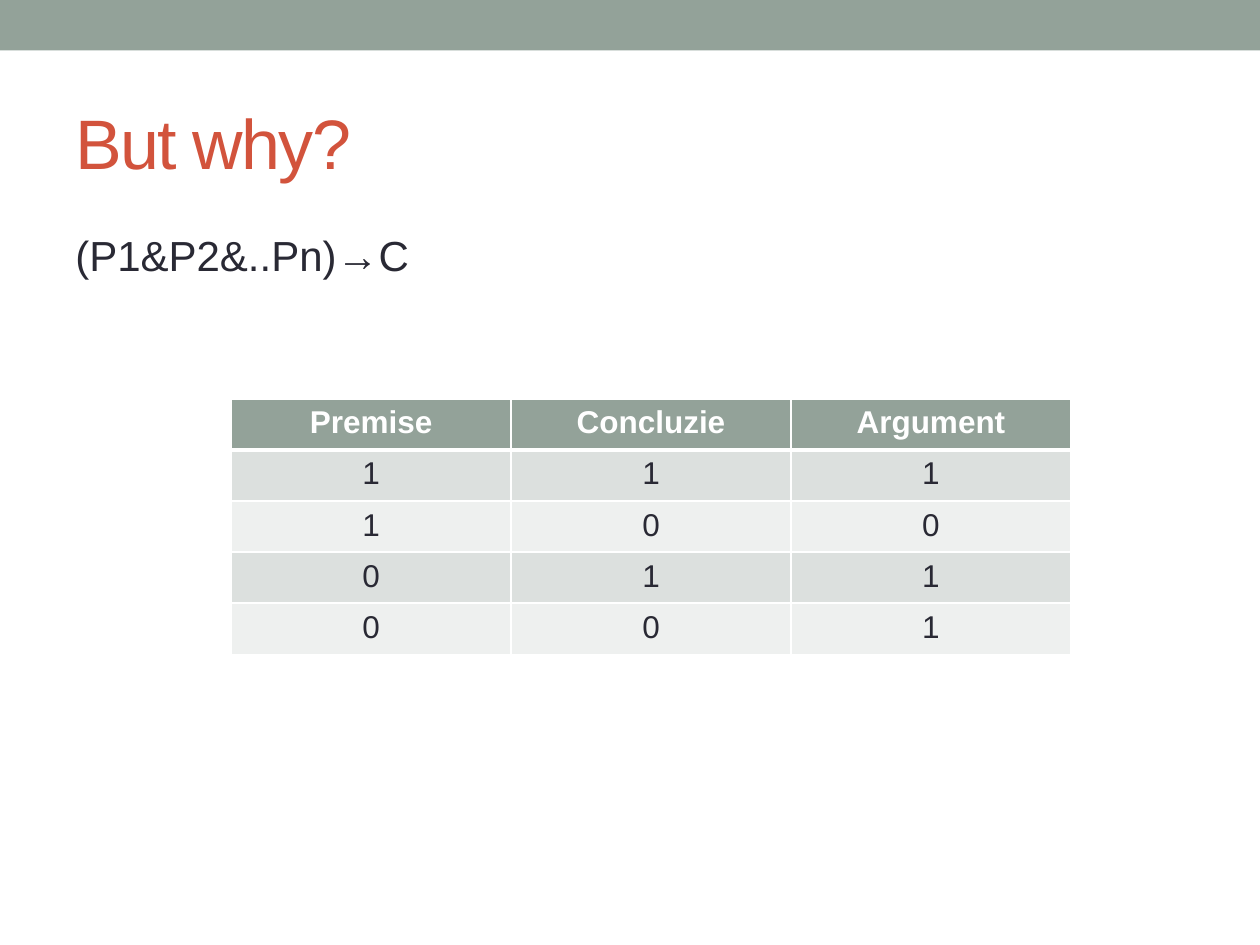
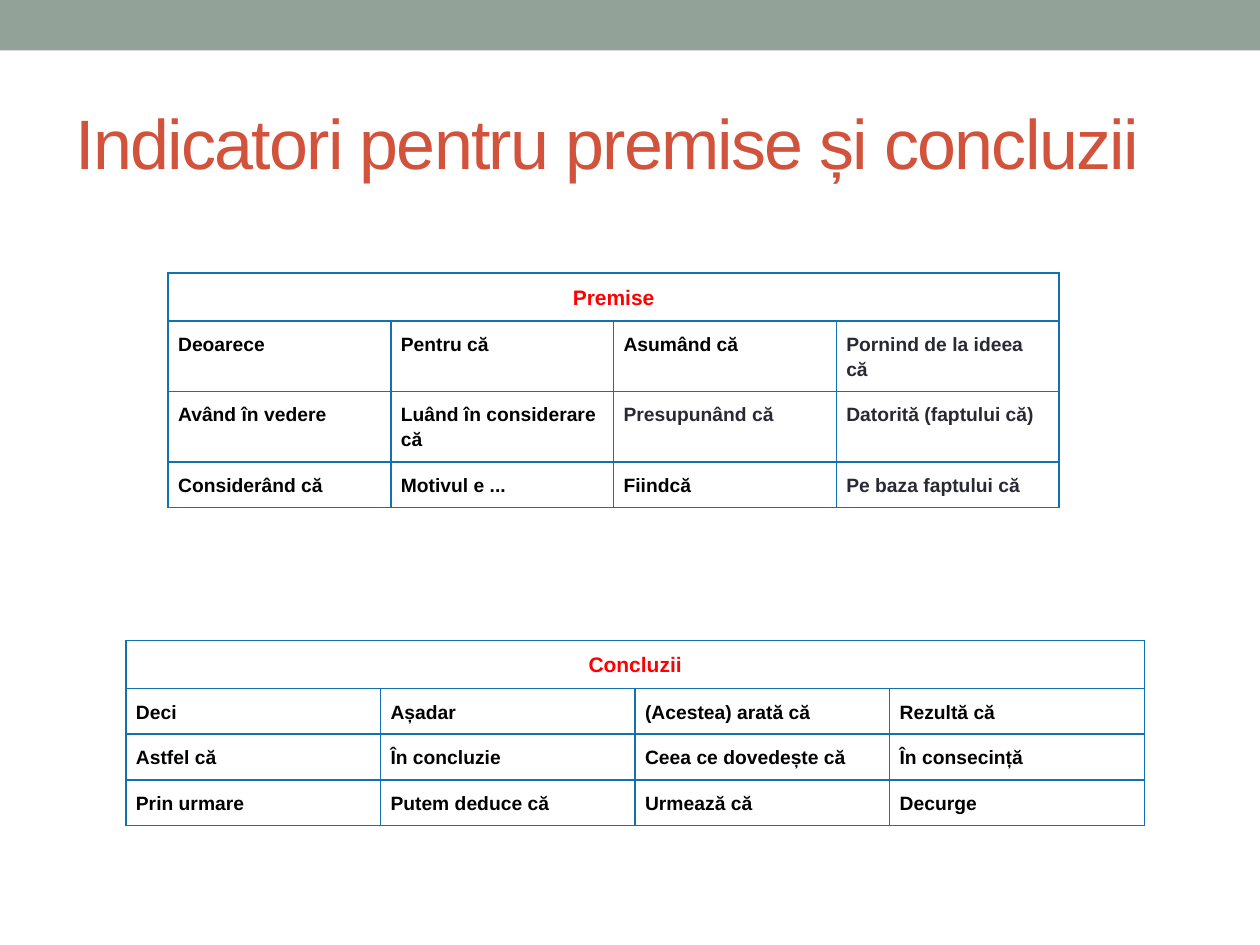
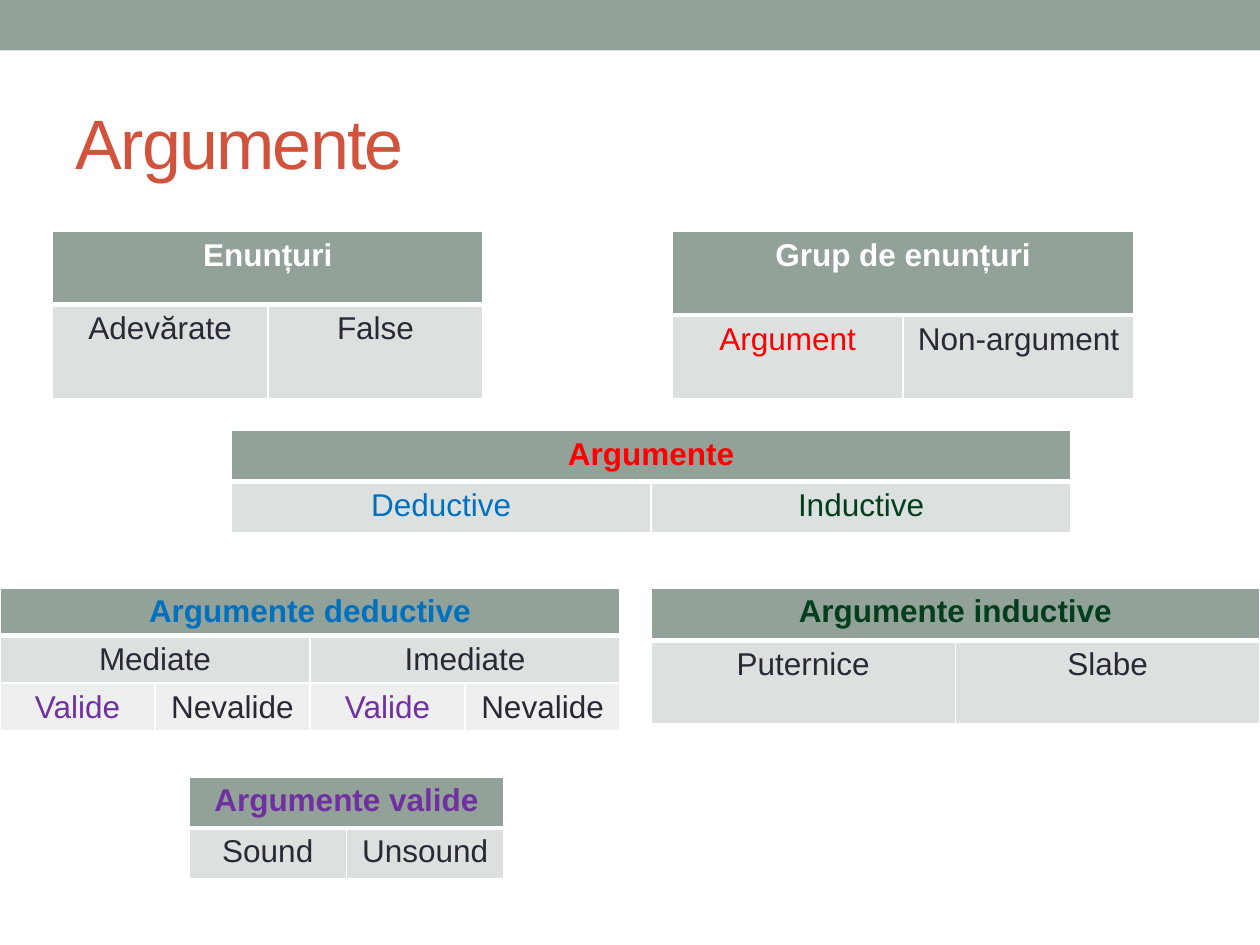
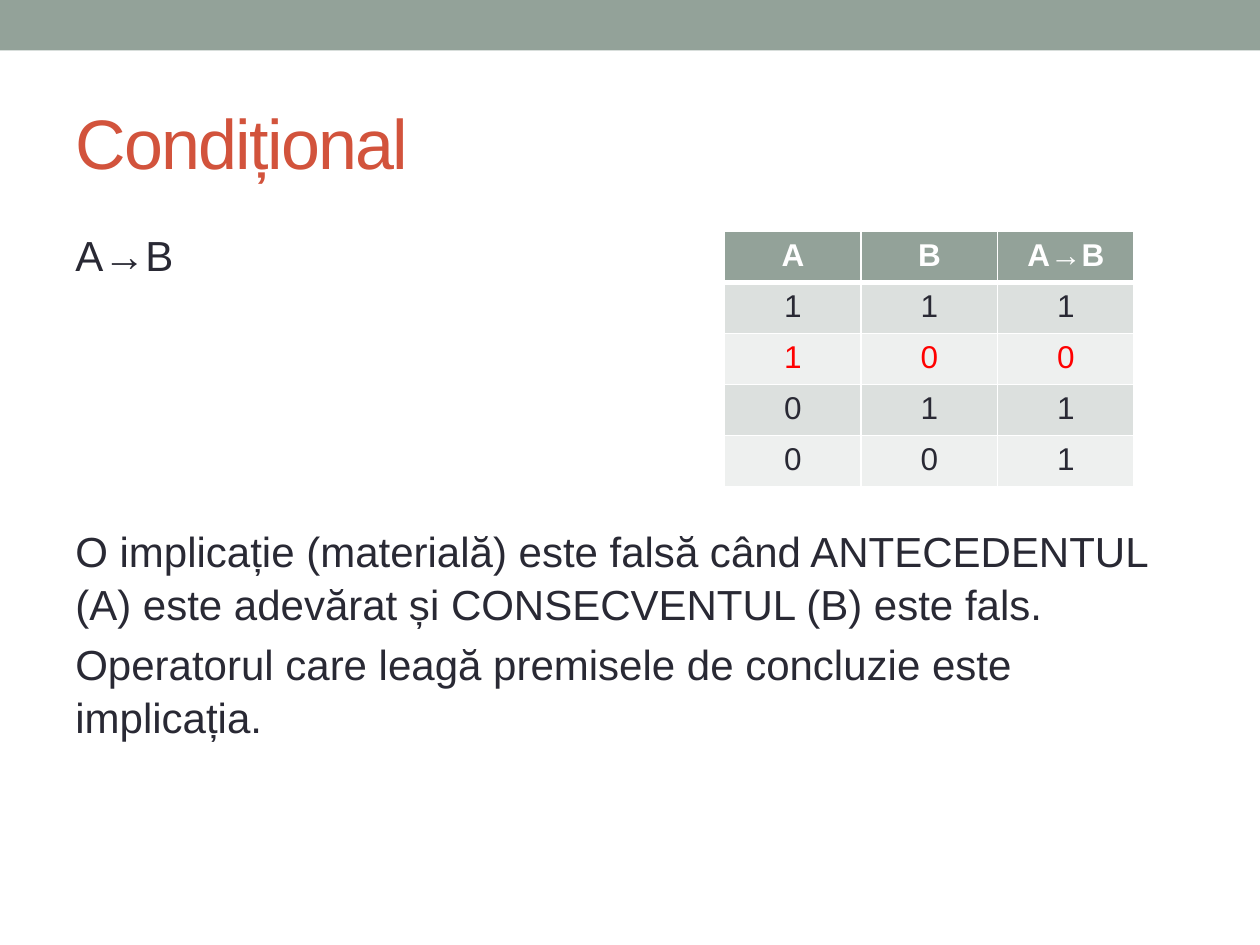
from dataclasses import dataclass

from lxml.etree import SubElement
from pptx import Presentation
from pptx.dml.color import RGBColor
from pptx.enum.shapes import MSO_SHAPE as Shape
from pptx.enum.text import MSO_ANCHOR as Anchor, MSO_AUTO_SIZE as AutoSize, PP_ALIGN as Align
from pptx.oxml.ns import qn
from pptx.util import Cm, Pt


@dataclass(frozen=True)
class Theme:
    """Colours and type sizes shared by all slides."""
    font: str = "Arial"
    sage: str = "93A299"
    band_dark: str = "DCE0DE"
    band_light: str = "EEF0EF"
    brick: str = "D2533C"
    ink: str = "292934"
    white: str = "FFFFFF"
    black: str = "000000"
    red: str = "FF0000"
    blue: str = "0070C0"
    green: str = "003E1C"
    purple: str = "7030A0"
    outline: str = "1371B2"
    title_size: int = 40
    body_size: int = 24
    table_size: int = 18
    caption_size: int = 12
    phrase_size: int = 11


THEME = Theme()


@dataclass(frozen=True)
class GridStyle:
    """Look of one kind of table."""
    line: str
    header_line: int
    header_color: str
    body_color: str
    header_size: int
    body_size: int
    fills: tuple = ()
    body_bold: bool = False
    body_align: Align = Align.CENTER
    spacing: float = 1.0
    margins: tuple = (0.25, 0.13, 0.25, 0.1)


BANDED = GridStyle(THEME.white, 3, THEME.white, THEME.ink, THEME.table_size, THEME.table_size,
                   fills=(THEME.sage, THEME.band_dark, THEME.band_light))
OUTLINED = GridStyle(THEME.outline, 1, THEME.red, THEME.black, THEME.caption_size,
                     THEME.phrase_size, body_bold=True, body_align=Align.LEFT,
                     spacing=1.15, margins=(0.2,) * 4)


def rgb(color):
    """Turn a hex string into a colour."""
    return RGBColor.from_string(color)


def write(frame, text, size, color, bold=False, align=Align.LEFT, spacing=1.0, before=0,
          tracking=0):
    """Write a paragraph into the frame, after any text already there."""
    paragraph = frame.add_paragraph() if frame.text else frame.paragraphs[0]
    paragraph.alignment = align
    paragraph.line_spacing = spacing
    paragraph.space_before = Pt(before)
    run = paragraph.add_run()
    run.text = text
    run.font.name = THEME.font
    run.font.size = Pt(size)
    run.font.bold = bold
    run.font.color.rgb = rgb(color)
    if tracking:
        run.font._element.set("spc", str(tracking * 100))


def add_titled_slide(deck, title):
    """Add a slide with the top band and the formatted title."""
    slide = deck.slides.add_slide(deck.slide_layouts[5])
    band = slide.shapes.add_shape(Shape.RECTANGLE, 0, 0, deck.slide_width, Cm(1.02))
    band.shadow.inherit = False
    band.fill.solid()
    band.fill.fore_color.rgb = rgb(THEME.sage)
    band.line.fill.background()
    heading = slide.shapes.title
    heading.left, heading.top, heading.width, heading.height = map(Cm, (1.27, 1.48, 22.86, 2.75))
    frame = heading.text_frame
    frame.word_wrap = True
    frame.auto_size = AutoSize.NONE
    frame.vertical_anchor = Anchor.MIDDLE
    write(frame, title, THEME.title_size, THEME.brick, tracking=-1)
    return slide


def add_body(slide, box, paragraphs):
    """Place body paragraphs, given as (text, space before) pairs."""
    frame = slide.shapes.add_textbox(*map(Cm, box)).text_frame
    frame.word_wrap = True
    for text, before in paragraphs:
        write(frame, text, THEME.body_size, THEME.ink, spacing=1.05, before=before)


def border_cell(cell, color, widths):
    """Draw the cell's borders, with widths in points by side."""
    properties = cell._tc.get_or_add_tcPr()
    for side, width in widths.items():
        line = SubElement(properties, qn(f"a:ln{side}"), w=str(Pt(width)))
        SubElement(SubElement(line, qn("a:solidFill")), qn("a:srgbClr"), val=color)


def fill_cell(cell, fills, row):
    """Fill a cell by its row: header first, then alternating bands."""
    if not fills:
        cell.fill.background()
        return
    header, *bands = fills
    cell.fill.solid()
    cell.fill.fore_color.rgb = rgb(bands[(row - 1) % len(bands)] if row else header)


def write_cell(cell, entry, row, style):
    """Write an entry, either text or a (text, colour) pair."""
    default = style.body_color if row else style.header_color
    text, color = entry if isinstance(entry, tuple) else (entry, default)
    cell.margin_left, cell.margin_top, cell.margin_right, cell.margin_bottom = map(
        Cm, style.margins)
    write(cell.text_frame, text, style.body_size if row else style.header_size, color,
          bold=style.body_bold or not row,
          align=style.body_align if row else Align.CENTER, spacing=style.spacing)


def add_grid(slide, left, top, width, heights, rows, style=BANDED):
    """Place a table whose row entries share its columns evenly."""
    columns = max(map(len, rows))
    table = slide.shapes.add_table(len(rows), columns, Cm(left), Cm(top), Cm(width),
                                   Cm(sum(heights))).table
    table.first_row = table.horz_banding = False
    for column in table.columns:
        column.width = Cm(width / columns)
    for row, (height, entries) in enumerate(zip(heights, rows)):
        table.rows[row].height = Cm(height)
        for column in range(columns):
            cell = table.cell(row, column)
            border_cell(cell, style.line, {
                "L": 1, "R": 1,
                "T": style.header_line if row == 1 else 1,
                "B": 1 if row else style.header_line})
            fill_cell(cell, style.fills, row)
        span = columns // len(entries)
        for index, entry in enumerate(entries):
            cell = table.cell(row, index * span)
            if span > 1:
                cell.merge(table.cell(row, (index + 1) * span - 1))
            write_cell(cell, entry, row, style)


def add_truth_table(slide, left, top, width, header, false_color=THEME.ink):
    """Place the truth table of the implication."""
    rows = [header]
    for first in (1, 0):
        for second in (1, 0):
            result = int(not first or second)
            color = THEME.ink if result else false_color
            rows.append([(str(value), color) for value in (first, second, result)])
    add_grid(slide, left, top, width, [1.03] * 5, rows)


def build_why(deck):
    """Build the slide on why arguments work."""
    slide = add_titled_slide(deck, "But why?")
    add_body(slide, (1.27, 4.45, 22.86, 13.54), [("(P1&P2&..Pn)→C", 0)])
    add_truth_table(slide, 4.66, 8.04, 16.93, ["Premise", "Concluzie", "Argument"])


def build_indicators(deck):
    """Build the slide with indicator phrases."""
    slide = add_titled_slide(deck, "Indicatori pentru premise și concluzii")
    add_grid(slide, 3.39, 5.5, 17.96, [0.97, 1.42, 1.42, 0.92], [
        ["Premise"],
        ["Deoarece", "Pentru că", "Asumând că", ("Pornind de la ideea că", THEME.ink)],
        ["Având în vedere", "Luând în considerare că", ("Presupunând că", THEME.ink),
         ("Datorită (faptului că)", THEME.ink)],
        ["Considerând că", "Motivul e ...", "Fiindcă", ("Pe baza faptului că", THEME.ink)],
    ], OUTLINED)
    add_grid(slide, 2.54, 12.91, 20.53, [0.97, 0.92, 0.92, 0.92], [
        ["Concluzii"],
        ["Deci", "Așadar", "(Acestea) arată că", "Rezultă că"],
        ["Astfel că", "În concluzie", "Ceea ce dovedește că", "În consecință"],
        ["Prin urmare", "Putem deduce că", "Urmează că", "Decurge"],
    ], OUTLINED)


def build_arguments(deck):
    """Build the slide that classifies statements and arguments."""
    slide = add_titled_slide(deck, "Argumente")
    valid = ("Valide", THEME.purple)
    add_grid(slide, 1.06, 4.66, 8.68, [1.48, 1.9], [["Enunțuri"], ["Adevărate", "False"]])
    add_grid(slide, 13.55, 4.66, 9.31, [1.69, 1.69], [
        ["Grup de enunțuri"], [("Argument", THEME.red), "Non-argument"]])
    add_grid(slide, 4.66, 8.68, 16.93, [1.03, 1.03], [
        [("Argumente", THEME.red)],
        [("Deductive", THEME.blue), ("Inductive", THEME.green)]])
    add_grid(slide, 0, 11.85, 12.5, [0.96] * 3, [
        [("Argumente deductive", THEME.blue)],
        ["Mediate", "Imediate"],
        [valid, "Nevalide"] * 2])
    add_grid(slide, 13.12, 11.85, 12.28, [1.06, 1.68], [
        [("Argumente inductive", THEME.green)], ["Puternice", "Slabe"]])
    add_grid(slide, 3.81, 15.66, 6.35, [1.03, 1.03], [
        [("Argumente valide", THEME.purple)], ["Sound", "Unsound"]])


def build_conditional(deck):
    """Build the slide on the conditional."""
    slide = add_titled_slide(deck, "Condițional")
    add_body(slide, (1.27, 4.45, 22.86, 13.54), [
        ("A→B", 0),
        ("O implicație (materială) este falsă când ANTECEDENTUL (A) este adevărat și "
         "CONSECVENTUL (B) este fals.", 139),
        ("Operatorul care leagă premisele de concluzie este implicația.", 4)])
    add_truth_table(slide, 14.61, 4.66, 8.25, ["A", "B", "A→B"], false_color=THEME.red)


def main():
    """Build and save the deck."""
    deck = Presentation()
    deck.slide_width, deck.slide_height = Cm(25.4), Cm(19.05)
    for build in (build_why, build_indicators, build_arguments, build_conditional):
        build(deck)
    deck.save("out.pptx")


if __name__ == "__main__":
    main()
